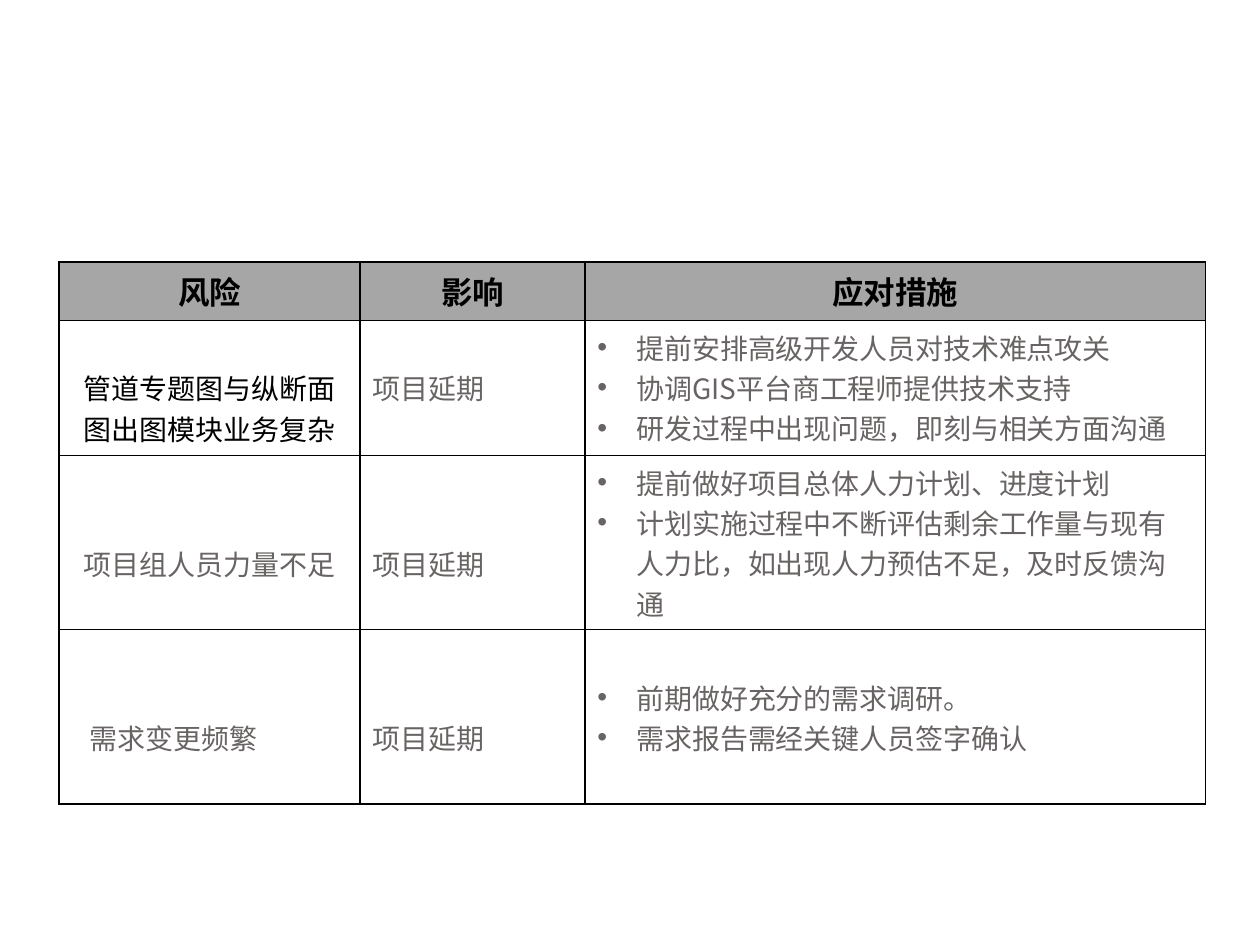
import pptx
import pptx.util
import pptx.dml.color
import pptx.enum.text
import pptx.oxml.ns
import lxml.etree

Cm, Pt = pptx.util.Cm, pptx.util.Pt
ALIGN = pptx.enum.text.PP_ALIGN
qn = pptx.oxml.ns.qn

COLORS = {"header": "A6A6A6", "black": "000000", "grey": "696464"}
SANS, SERIF = "Noto Sans CJK SC", "Times New Roman"
LINE_CM = 0.82  # height of one line of body text

HEADERS = ["风险", "影响", "应对措施"]
# risk, its colour, its alignment, its left inset in cm,
# lines above the risk and impact, lines above the measures, measures
RISKS = [
    ("管道专题图与纵断面图出图模块业务复杂", "black", ALIGN.CENTER, 0.25, 1, 0,
     ["提前安排高级开发人员对技术难点攻关",
      "协调GIS平台商工程师提供技术支持",
      "研发过程中出现问题，即刻与相关方面沟通"]),
    ("项目组人员力量不足", "grey", ALIGN.CENTER, 0.25, 2, 0,
     ["提前做好项目总体人力计划、进度计划",
      "计划实施过程中不断评估剩余工作量与现有人力比，如出现人力预估不足，及时反馈沟通"]),
    ("需求变更频繁", "grey", ALIGN.LEFT, 0.62, 2, 1,
     ["前期做好充分的需求调研。", "需求报告需经关键人员签字确认"]),
]
IMPACT = "项目延期"


def rgb(name):
    """Return the named colour."""
    return pptx.dml.color.RGBColor.from_string(COLORS[name])


def add_border(cell):
    """Draw a thin black line on the four sides of a cell."""
    props = cell._tc.get_or_add_tcPr()
    for side in ("lnL", "lnR", "lnT", "lnB"):
        line = lxml.etree.SubElement(props, qn("a:" + side), w=str(Pt(1)))
        fill = lxml.etree.SubElement(line, qn("a:solidFill"))
        lxml.etree.SubElement(fill, qn("a:srgbClr"), val=COLORS["black"])


def add_bullet(para):
    """Give a paragraph a hanging round bullet."""
    props = para._p.get_or_add_pPr()
    props.set("marL", str(Cm(0.79)))
    props.set("indent", str(-Cm(0.79)))
    lxml.etree.SubElement(props, qn("a:buFont"), typeface="Arial")
    lxml.etree.SubElement(props, qn("a:buChar"), char="•")


def fill_cell(cell, texts, color="grey", align=ALIGN.LEFT, left=0.25,
              lines_above=0, bullets=False, header=False):
    """Set the frame, the fill and the paragraphs of a cell."""
    add_border(cell)
    if header:
        cell.fill.solid()
        cell.fill.fore_color.rgb = rgb("header")
    else:
        cell.fill.background()
    cell.margin_left, cell.margin_right = Cm(left), Cm(0.25)
    cell.margin_top = Cm(0.13 + lines_above * LINE_CM)
    cell.margin_bottom = Cm(0.13)
    frame = cell.text_frame
    for index, text in enumerate(texts):
        para = frame.add_paragraph() if index else frame.paragraphs[0]
        para.alignment = align
        if bullets:
            add_bullet(para)
        span = para.add_run()
        span.text = text
        span.font.size = Pt(18 if header else 16)
        span.font.bold = header
        span.font.color.rgb = rgb(color)
        span.font.name = SERIF if header else SANS
        lxml.etree.SubElement(span.font._element, qn("a:ea"), typeface=SANS)


def add_risk_table(page, left, top, widths, heights):
    """Place the table of risks, impacts and measures."""
    box = page.shapes.add_table(len(heights), len(widths), Cm(left), Cm(top),
                                Cm(sum(widths)), Cm(sum(heights)))
    table = box.table
    table.first_row = table.horz_banding = False
    for column, width in zip(table.columns, widths):
        column.width = Cm(width)
    for row, height in zip(table.rows, heights):
        row.height = Cm(height)
    for index, title in enumerate(HEADERS):
        fill_cell(table.cell(0, index), [title], "black", ALIGN.CENTER, header=True)
    for index, risk in enumerate(RISKS, start=1):
        name, color, align, inset, above, measures_above, measures = risk
        fill_cell(table.cell(index, 0), [name], color, align, inset, above)
        fill_cell(table.cell(index, 1), [IMPACT], lines_above=above)
        fill_cell(table.cell(index, 2), measures, lines_above=measures_above,
                  bullets=True)


deck = pptx.Presentation()
deck.slide_width, deck.slide_height = Cm(25.4), Cm(19.05)
page = deck.slides.add_slide(deck.slide_layouts[6])
add_risk_table(page, 1.19, 5.28, [6.07, 4.53, 12.51], [1.17, 2.72, 3.51, 3.51])
deck.save("out.pptx")
